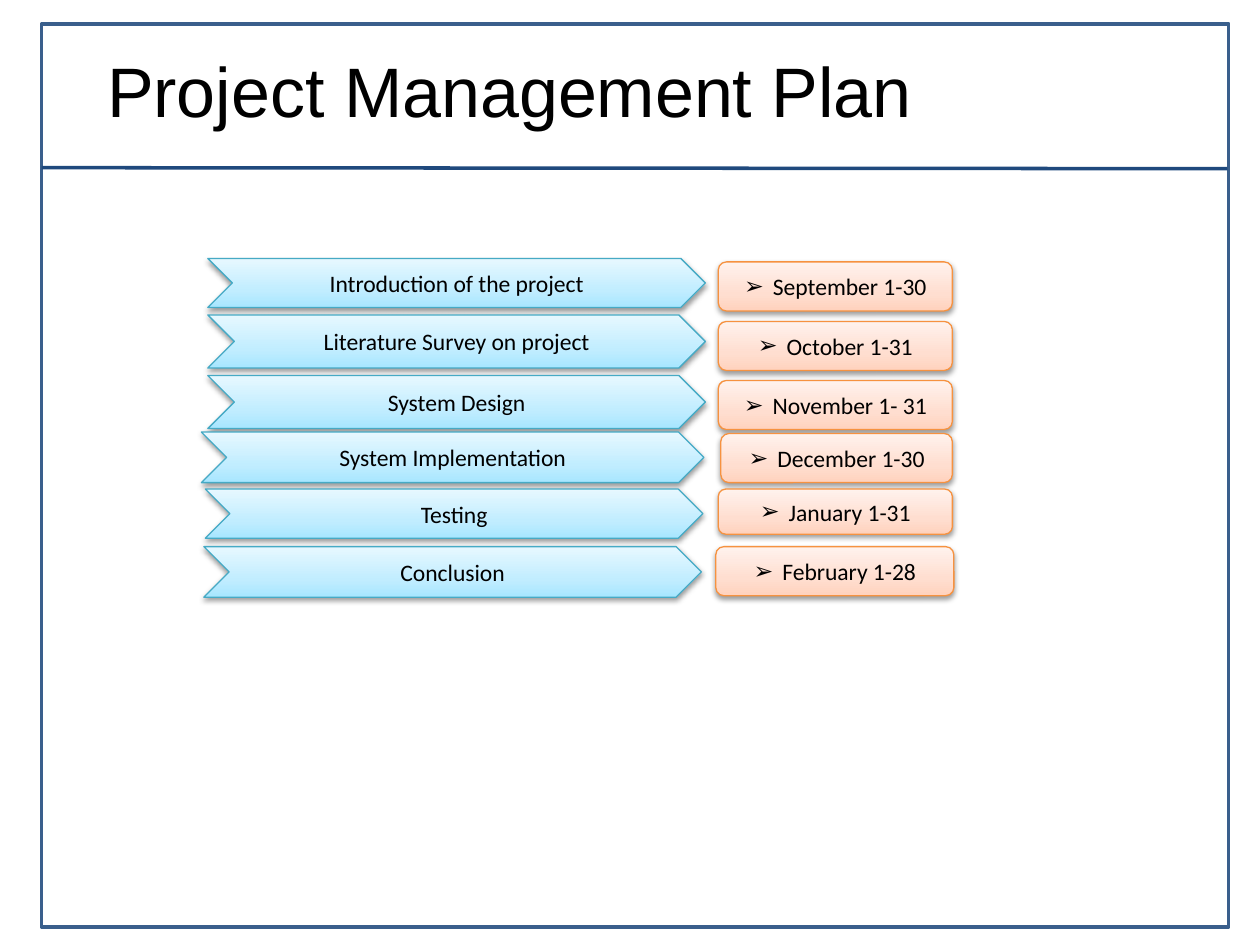
import copy

import pptx
import pptx.dml.color
import pptx.enum.shapes
import pptx.enum.text
import pptx.oxml
import pptx.oxml.ns
import pptx.util

Cm = pptx.util.Cm
Pt = pptx.util.Pt
SHAPES = pptx.enum.shapes.MSO_SHAPE

TITLE = "Project Management Plan"
TASKS = [
    ("Introduction of the project", (4.19, 5.21, 10.03, 0.99)),
    ("Literature Survey on project", (4.19, 6.35, 10.03, 1.07)),
    ("System Design", (4.19, 7.57, 10.03, 1.07)),
    ("System Implementation", (4.06, 8.71, 10.13, 1.02)),
    ("Testing", (4.14, 9.86, 10.03, 0.99)),
    ("Conclusion", (4.11, 11.02, 10.03, 1.02)),
]
DATES = [
    ("September 1-30", (14.48, 5.28, 4.72, 0.99)),
    ("October 1-31", (14.48, 6.48, 4.72, 0.99)),
    ("November 1- 31", (14.48, 7.67, 4.72, 0.99)),
    ("December 1-30", (14.53, 8.74, 4.67, 0.99)),
    ("January 1-31", (14.48, 9.86, 4.72, 0.91)),
    ("February 1-28", (14.43, 11.02, 4.8, 0.99)),
]
TASK_STYLE = {
    "kind": SHAPES.CHEVRON,
    "stops": ("A7E6FF", "C1EDFF", "E7F8FF"),
    "line": "46AAC5",
    "bullet": None,
}
DATE_STYLE = {
    "kind": SHAPES.ROUNDED_RECTANGLE,
    "stops": ("FFD2BD", "FFDED0", "FFF2ED"),
    "line": "F69240",
    "bullet": "➢",
}
STOP_POSITIONS = (0, 0.35, 1)
BULLET_INDENT = Cm(0.58)
TITLE_FONT = {"name": "Arial", "size": Pt(40)}
LABEL_FONT = {"name": "Calibri", "size": Pt(13.5)}
LABEL_FRAME = {
    "word_wrap": True,
    "vertical_anchor": pptx.enum.text.MSO_ANCHOR.MIDDLE,
}


def color(value):
    return pptx.dml.color.RGBColor.from_string(value)


def set_values(target, values):
    for name, value in values.items():
        setattr(target, name, value)


def add_xml(parent, body):
    namespace = pptx.oxml.ns.nsdecls("a")
    tag, rest = body.split(" ", 1)
    parent.append(pptx.oxml.parse_xml(f"<{tag} {namespace} {rest}"))


def set_line(line, value, width):
    line.color.rgb = color(value)
    line.width = Pt(width)


def write_text(frame, text, font):
    paragraph = frame.paragraphs[0]
    run = paragraph.add_run()
    run.text = text
    set_values(run.font, font)
    run.font.color.rgb = color("000000")
    return paragraph


def set_gradient(shape, stops):
    shape.fill.gradient()
    shape.fill.gradient_angle = 90
    stop_list = shape._element.spPr.find(".//" + pptx.oxml.ns.qn("a:gsLst"))
    stop_list.append(copy.deepcopy(stop_list[-1]))
    for stop, value, position in zip(shape.fill.gradient_stops, stops, STOP_POSITIONS):
        stop.color.rgb = color(value)
        stop.position = position


def add_shadow(shape):
    shape.shadow.inherit = False
    effects = shape._element.spPr.find(pptx.oxml.ns.qn("a:effectLst"))
    add_xml(
        effects,
        f'a:outerShdw blurRad="{Pt(3.1)}" dist="{Pt(1.6)}" dir="5400000" rotWithShape="0">'
        '<a:srgbClr val="000000"><a:alpha val="38000"/></a:srgbClr></a:outerShdw>',
    )


def add_label(slide, text, box, style):
    shape = slide.shapes.add_shape(style["kind"], *map(Cm, box))
    set_gradient(shape, style["stops"])
    set_line(shape.line, style["line"], 0.75)
    add_shadow(shape)
    set_values(shape.text_frame, LABEL_FRAME)
    paragraph = write_text(shape.text_frame, text, LABEL_FONT)
    paragraph.alignment = pptx.enum.text.PP_ALIGN.CENTER
    if style["bullet"]:
        properties = paragraph._p.get_or_add_pPr()
        properties.set("marL", str(BULLET_INDENT))
        properties.set("indent", str(-BULLET_INDENT))
        add_xml(properties, 'a:buFont typeface="Wingdings"/>'.replace("Wingdings", "Arial"))
        add_xml(properties, f'a:buChar char="{style["bullet"]}"/>')


def add_frame(slide):
    border = slide.shapes.add_shape(SHAPES.RECTANGLE, *map(Cm, (0.84, 0.48, 23.93, 18.21)))
    border.fill.background()
    border.shadow.inherit = False
    set_line(border.line, "3A5F8C", 2)
    divider = slide.shapes.add_connector(
        pptx.enum.shapes.MSO_CONNECTOR.STRAIGHT, *map(Cm, (0.84, 3.38, 24.74, 3.4))
    )
    set_line(divider.line, "1F497D", 2)
    add_xml(divider._element.spPr, "a:effectLst />")


def main():
    presentation = pptx.Presentation()
    set_values(presentation, {"slide_width": Cm(25.4), "slide_height": Cm(19.05)})
    slide = presentation.slides.add_slide(presentation.slide_layouts[6])
    add_frame(slide)
    for labels, style in ((TASKS, TASK_STYLE), (DATES, DATE_STYLE)):
        for text, box in labels:
            add_label(slide, text, box, style)
    title = slide.shapes.add_textbox(*map(Cm, (1.91, 0.84, 18.85, 1.96)))
    title.text_frame.word_wrap = True
    write_text(title.text_frame, TITLE, TITLE_FONT)
    presentation.save("out.pptx")


if __name__ == "__main__":
    main()
